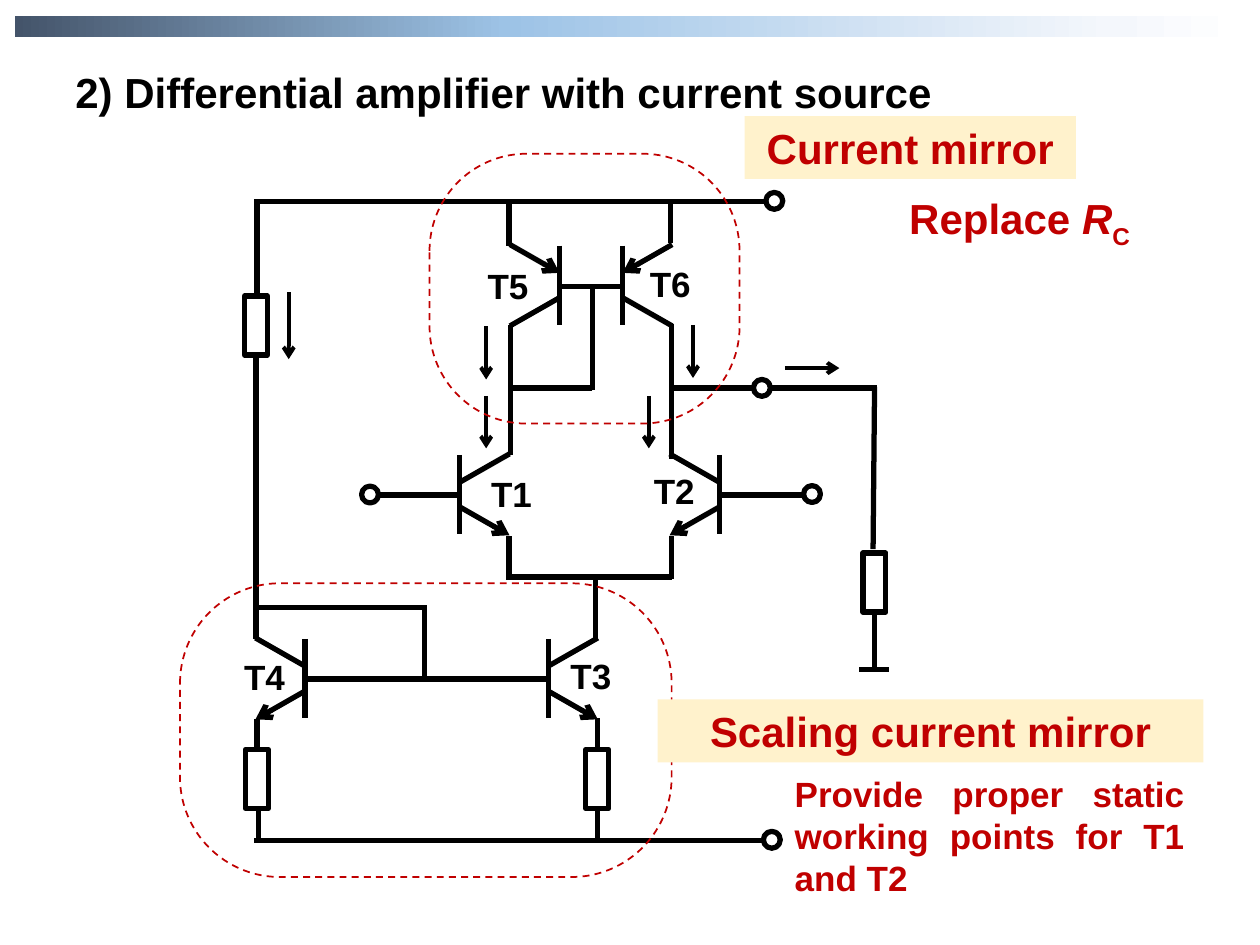
from lxml import etree
from pptx import Presentation
from pptx.dml.color import RGBColor
from pptx.enum.dml import MSO_LINE
from pptx.enum.shapes import MSO_CONNECTOR, MSO_SHAPE
from pptx.enum.text import MSO_AUTO_SIZE as AUTO, PP_ALIGN as AL
from pptx.oxml.ns import qn
from pptx.util import Cm, Pt

COLORS = {"black": "000000", "red": "C00000", "cream": "FFF2CC"}
BAR_STOPS = [(0, "44546A"), (40, "9DC3E6"), (89, "F4F7FC"), (100, "FFFFFF")]

# All positions are in centimetres
# name, base bar x, centre y, side of the leads, emitter up, label left and top
TRANSISTORS = [
    ("T1", 9.27, 9.97, 1, False, 9.65, 9.4),
    ("T2", 14.5, 9.97, -1, False, 12.93, 9.35),
    ("T3", 11.05, 13.68, 1, False, 11.25, 13.06),
    ("T4", 6.15, 13.68, -1, False, 4.67, 13.08),
    ("T5", 11.28, 5.75, -1, True, 9.58, 5.21),
    ("T6", 12.55, 5.75, 1, True, 12.85, 5.16),
]
WIRES = [
    # supply rails
    (15.42, 4.06, 5.13, 4.06), (15.42, 16.94, 5.13, 16.94),
    # left branch
    (5.18, 5.97, 5.18, 4.01), (5.16, 12.88, 5.16, 7.19),
    # upper mirror
    (10.26, 4.95, 10.26, 4.06), (13.51, 4.9, 13.51, 4.04),
    (11.28, 5.77, 12.52, 5.77), (11.94, 7.87, 11.94, 5.77),
    (11.94, 7.82, 10.29, 7.82),
    # differential pair
    (10.29, 9.17, 10.29, 6.55), (13.54, 9.25, 13.54, 6.53),
    (9.25, 9.98, 7.59, 9.98), (16.23, 9.98, 14.53, 9.98),
    (10.26, 11.66, 10.26, 10.8), (13.54, 11.68, 13.54, 10.8),
    (13.54, 11.63, 10.21, 11.63), (12.0, 12.88, 12.0, 11.66),
    # output and load
    (15.19, 7.82, 13.51, 7.82), (17.68, 7.82, 15.49, 7.82),
    (17.6, 11.07, 17.63, 7.8), (17.63, 13.51, 17.63, 12.32),
    (17.32, 13.49, 17.93, 13.49),
    # lower mirror
    (11.02, 13.69, 6.15, 13.69), (8.56, 13.72, 8.56, 12.19),
    (8.59, 12.24, 5.16, 12.24),
    (12.04, 15.11, 12.04, 14.48), (12.04, 16.92, 12.04, 16.33),
    (5.18, 15.14, 5.18, 14.5), (5.21, 16.94, 5.21, 16.33),
]
CURRENTS = [
    (5.82, 5.89, 5.82, 7.24), (9.8, 6.58, 9.8, 7.65), (9.8, 7.98, 9.8, 9.04),
    (13.97, 6.55, 13.97, 7.62), (13.08, 7.98, 13.08, 9.04),
    (15.82, 7.42, 16.92, 7.42),
]
RESISTORS = [(4.93, 5.97), (4.95, 15.11), (11.81, 15.11), (17.4, 11.15)]
TERMINALS = [(15.44, 3.88), (15.19, 7.65), (16.2, 9.79), (7.29, 9.8), (15.39, 16.76)]
REGIONS = [((8.66, 3.1, 6.25, 5.44), 0.36), ((3.63, 11.76, 9.91, 5.92), 0.34)]
TAGS = [("Current mirror", (15.01, 2.34, 6.68, 1.27)),
        ("Scaling current mirror", (13.26, 14.1, 11.0, 1.27))]

prs = Presentation()
prs.slide_width, prs.slide_height = Cm(25.4), Cm(19.05)
s = prs.slides.add_slide(prs.slide_layouts[6])


def rgb(name):
    return RGBColor.from_string(COLORS[name])


def write(text, box, size=24, color="black", align=AL.LEFT, fill=None):
    """Text is a string or a list of (string, style) runs; style is i, sub or empty."""
    sp = s.shapes.add_textbox(*map(Cm, box))
    if fill:
        sp.fill.solid()
        sp.fill.fore_color.rgb = rgb(fill)
    tf = sp.text_frame
    tf.word_wrap = True
    tf.auto_size = AUTO.SHAPE_TO_FIT_TEXT
    p = tf.paragraphs[0]
    p.alignment = align
    for part, style in [(text, "")] if isinstance(text, str) else text:
        r = p.add_run()
        r.text = part
        r.font.name, r.font.size, r.font.bold = "Arial", Pt(size), True
        r.font.italic = style == "i"
        r.font.color.rgb = rgb(color)
        if style == "sub":
            r.font._element.set("baseline", "-25000")


def wire(x1, y1, x2, y2, width=3, arrow=False):
    c = s.shapes.add_connector(MSO_CONNECTOR.STRAIGHT, *map(Cm, (x1, y1, x2, y2)))
    c.line.color.rgb = rgb("black")
    c.line.width = Pt(width)
    if arrow:
        etree.SubElement(c.line._get_or_add_ln(), qn("a:tailEnd"), type="arrow")
    etree.SubElement(c._element.spPr, qn("a:effectLst"))


def outline(kind, box, color="black", width=3):
    sp = s.shapes.add_shape(kind, *map(Cm, box))
    sp.shadow.inherit = False
    sp.fill.background()
    sp.line.color.rgb = rgb(color)
    sp.line.width = Pt(width)
    return sp


def transistor(x, y, side, emitter_up):
    lead, inner, outer = 1.0 * side, 0.25, 0.82
    wire(x, y - 0.8, x, y + 0.8)
    if emitter_up:
        wire(x + lead, y - outer, x, y - inner, arrow=True)
        wire(x, y + inner, x + lead, y + outer)
    else:
        wire(x, y - inner, x + lead, y - outer)
        wire(x, y + inner, x + lead, y + outer, arrow=True)


# Gradient bar
bar = s.shapes.add_shape(MSO_SHAPE.RECTANGLE, Cm(0.3), Cm(0.33), Cm(24.8), Cm(0.41))
bar.shadow.inherit = False
bar.line.fill.background()
bar.fill.gradient()
bar.fill.gradient_angle = 0
stops = bar._element.spPr.find(".//" + qn("a:gsLst"))
for gs in list(stops):
    stops.remove(gs)
for pos, color in BAR_STOPS:
    gs = etree.SubElement(stops, qn("a:gs"), pos=str(pos * 1000))
    etree.SubElement(gs, qn("a:srgbClr"), val=color)

# Circuit
for w in WIRES:
    wire(*w)
for w in CURRENTS:
    wire(*w, width=2.25, arrow=True)
for x, y in RESISTORS:
    outline(MSO_SHAPE.RECTANGLE, (x, y, 0.46, 1.19))
for x, y in TERMINALS:
    outline(MSO_SHAPE.OVAL, (x, y, 0.34, 0.34))
for name, x, y, side, up, left, top in TRANSISTORS:
    transistor(x, y, side, up)
    write(name, (left, top, 1.5, 1.12), size=20)

# Dashed regions
for box, radius in REGIONS:
    region = outline(MSO_SHAPE.ROUNDED_RECTANGLE, box, color="red", width=1)
    region.adjustments[0] = radius
    region.line.dash_style = MSO_LINE.DASH

# Title and notes
write("2) Differential amplifier with current source", (1.27, 1.22, 23.14, 1.27),
      align=AL.JUSTIFY)
for text, box in TAGS:
    write(text, box, color="red", align=AL.CENTER, fill="cream")
write([("Replace ", ""), ("R", "i"), ("C", "sub")], (18.08, 3.76, 5.03, 1.5),
      color="red", align=AL.JUSTIFY)
write("Provide proper static working points for T1 and T2", (15.77, 15.44, 8.36, 2.82),
      size=20, color="red", align=AL.JUSTIFY)

prs.save("out.pptx")
